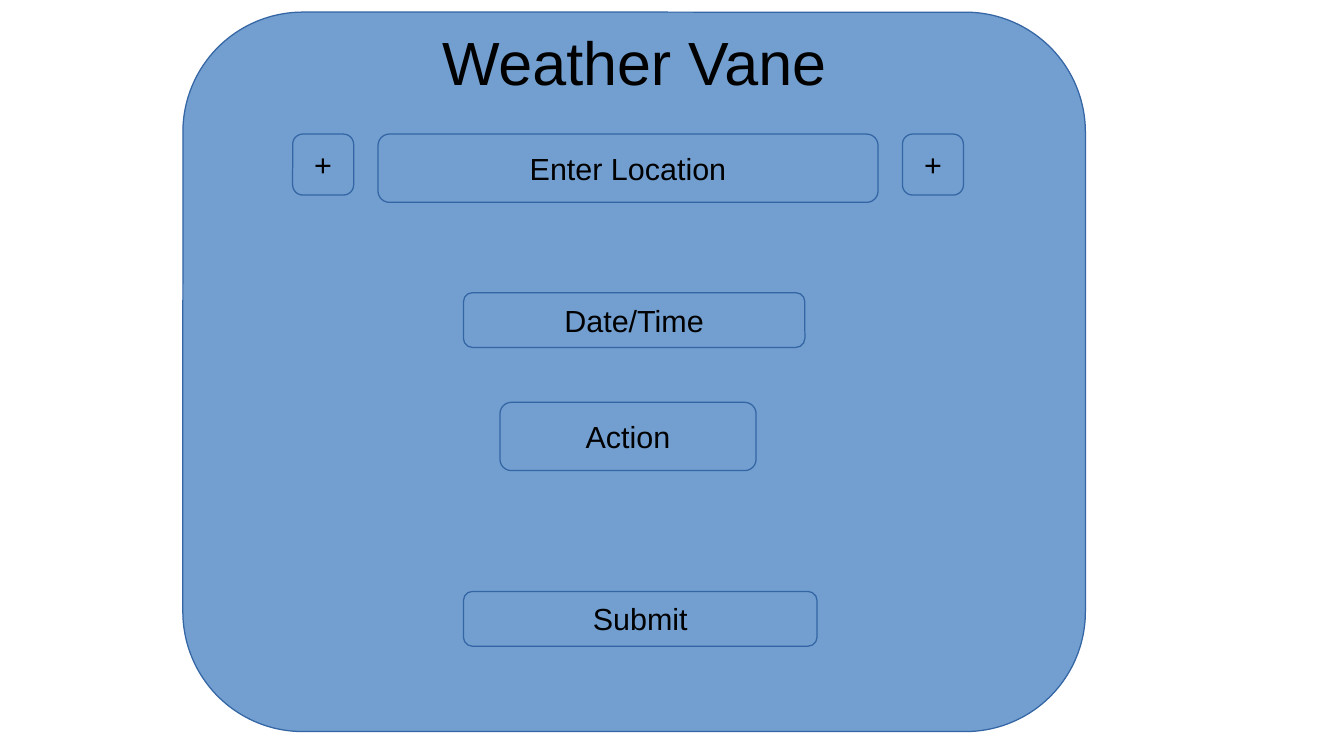
from pptx import Presentation
from pptx.dml.color import RGBColor
from pptx.enum.shapes import MSO_SHAPE
from pptx.enum.text import MSO_ANCHOR, PP_ALIGN
from pptx.util import Inches, Pt

PANEL_BLUE = RGBColor(0x72, 0x9F, 0xCF)
EDGE_BLUE = RGBColor(0x34, 0x65, 0xA4)
BLACK = RGBColor(0, 0, 0)
FONT = "Arial"
CORNER = 1 / 6  # corner radius as a share of the shorter side

# Form fields: label, then column, row, width and height in grid cells
FIELDS = [
    ("Enter Location", 31, 11, 41, 5.6),
    ("Date/Time", 38, 24, 28, 4.5),
    ("Action", 41, 33, 21, 5.6),
    ("Submit", 38, 48.5, 29, 4.5),
]
ADD_BUTTON_COLUMNS = (24, 74)


def grid(*cells):
    """Turn counts of grid cells, ten to the inch, into lengths."""
    return [Inches(count / 10) for count in cells]


def write_label(frame, label, size, anchor):
    frame.word_wrap = False
    frame.vertical_anchor = anchor
    paragraph = frame.paragraphs[0]
    paragraph.alignment = PP_ALIGN.CENTER
    run = paragraph.add_run()
    run.text = label
    run.font.name = FONT
    run.font.size = Pt(size)
    run.font.color.rgb = BLACK


def add_rounded_box(slide, *cells):
    box = slide.shapes.add_shape(MSO_SHAPE.ROUNDED_RECTANGLE, *grid(*cells))
    box.adjustments[0] = CORNER
    box.shadow.inherit = False
    box.fill.solid()
    box.fill.fore_color.rgb = PANEL_BLUE
    box.line.color.rgb = EDGE_BLUE
    box.line.width = Pt(0.75)
    return box


def add_field(slide, label, *cells):
    field = add_rounded_box(slide, *cells)
    write_label(field.text_frame, label, 18, MSO_ANCHOR.MIDDLE)


def add_title(slide, title, *cells):
    heading = slide.shapes.add_textbox(*grid(*cells))
    write_label(heading.text_frame, title, 36, MSO_ANCHOR.TOP)


def main():
    deck = Presentation()
    deck.slide_width, deck.slide_height = Inches(11.02), Inches(6.2)
    slide = deck.slides.add_slide(deck.slide_layouts[6])

    # App panel with its title
    add_rounded_box(slide, 15, 1, 74, 59)
    add_title(slide, "Weather Vane", 15, 1.5, 74, 6.8)

    # Form fields
    for label, *cells in FIELDS:
        add_field(slide, label, *cells)

    # Add buttons on both sides of the location
    for column in ADD_BUTTON_COLUMNS:
        add_field(slide, "+", column, 11, 5, 5)

    deck.save("out.pptx")


if __name__ == "__main__":
    main()
